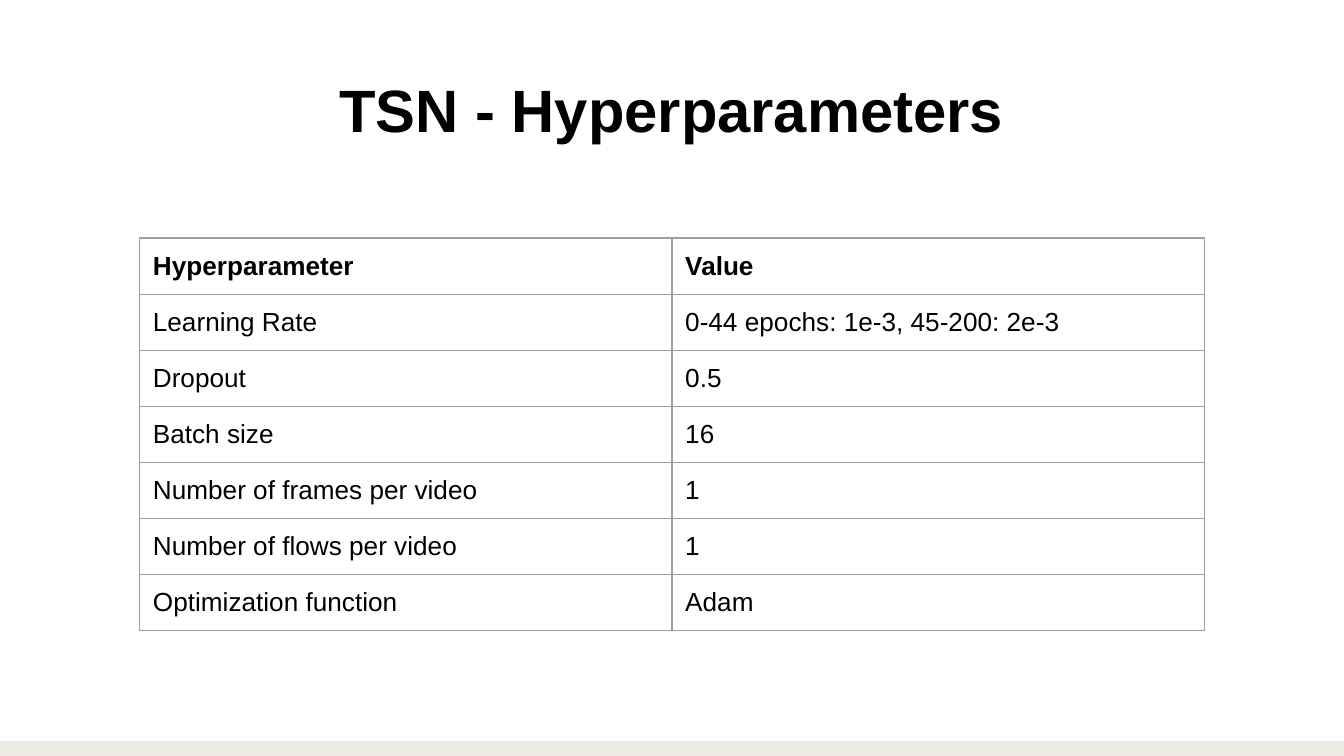
from lxml.etree import SubElement
from pptx import Presentation
from pptx.dml.color import RGBColor
from pptx.enum.shapes import MSO_SHAPE
from pptx.enum.text import MSO_ANCHOR, PP_ALIGN
from pptx.oxml.ns import qn
from pptx.util import Cm, Pt

ROWS = [
    ("Hyperparameter", "Value"),
    ("Learning Rate", "0-44 epochs: 1e-3, 45-200: 2e-3"),
    ("Dropout", "0.5"),
    ("Batch size", "16"),
    ("Number of frames per video", "1"),
    ("Number of flows per video", "1"),
    ("Optimization function", "Adam"),
]


def color(value):
    return RGBColor.from_string(value)


def write(tf, text, size=14, bold=False, fill="000000", font="Arial", align=PP_ALIGN.LEFT):
    p = tf.paragraphs[0]
    p.alignment = align
    r = p.add_run()
    r.text = text
    r.font.name, r.font.size, r.font.bold = font, Pt(size), bold
    r.font.color.rgb = color(fill)


def set_borders(cell, value, width):
    tc_pr = cell._tc.get_or_add_tcPr()
    for i, side in enumerate(("a:lnL", "a:lnR", "a:lnT", "a:lnB")):
        ln = tc_pr.makeelement(qn(side), {"w": str(Pt(width))})
        fill = SubElement(ln, qn("a:solidFill"))
        SubElement(fill, qn("a:srgbClr"), val=value)
        tc_pr.insert(i, ln)  # borders come before the cell fill


class Deck:
    background, band, border = "FFFFFF", "EEECE1", "9E9E9E"
    padding = Cm(0.25)

    def __init__(self, prs):
        self.s = prs.slides.add_slide(prs.slide_layouts[5])
        self.s.background.fill.solid()
        self.s.background.fill.fore_color.rgb = color(self.background)

    def add_band(self, x, y, w, h):
        sp = self.s.shapes.add_shape(MSO_SHAPE.RECTANGLE, Cm(x), Cm(y), Cm(w), Cm(h))
        sp.shadow.inherit = False
        sp.fill.solid()
        sp.fill.fore_color.rgb = color(self.band)
        sp.line.fill.background()

    def add_title(self, text, x, y, w, h):
        sp = self.s.shapes.title
        sp.left, sp.top, sp.width, sp.height = Cm(x), Cm(y), Cm(w), Cm(h)
        sp.text_frame.vertical_anchor = MSO_ANCHOR.MIDDLE
        write(sp.text_frame, text, size=32, bold=True, align=PP_ALIGN.CENTER)

    def add_table(self, rows, x, y, col_w, row_h):
        n_rows, n_cols = len(rows), len(rows[0])
        table = self.s.shapes.add_table(
            n_rows, n_cols, Cm(x), Cm(y), Cm(col_w * n_cols), Cm(row_h * n_rows)
        ).table
        table.horz_banding = False
        for i, row in enumerate(rows):
            table.rows[i].height = Cm(row_h)
            for j, text in enumerate(row):
                cell = table.cell(i, j)
                cell.fill.background()
                cell.margin_left = cell.margin_right = self.padding
                cell.margin_top = cell.margin_bottom = self.padding
                set_borders(cell, self.border, 0.75)
                write(cell.text_frame, text, bold=i == 0)


def main():
    prs = Presentation()
    prs.slide_width, prs.slide_height = Cm(25.4), Cm(14.29)
    deck = Deck(prs)
    deck.add_band(0, 14.01, 25.4, 0.28)
    deck.add_title("TSN - Hyperparameters", 0.86, 0.89, 23.67, 2.31)
    deck.add_table(ROWS, x=2.64, y=4.5, col_w=10.06, row_h=1.06)
    prs.save("out.pptx")


if __name__ == "__main__":
    main()
